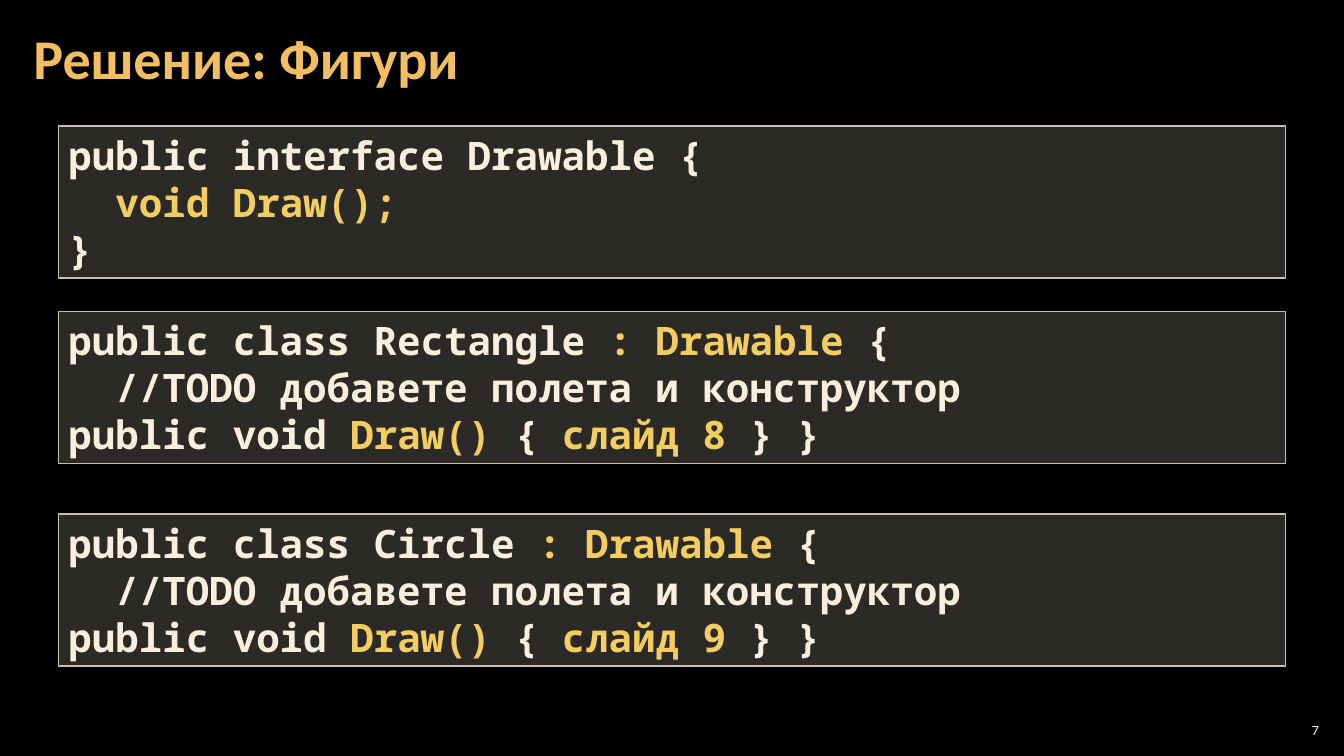
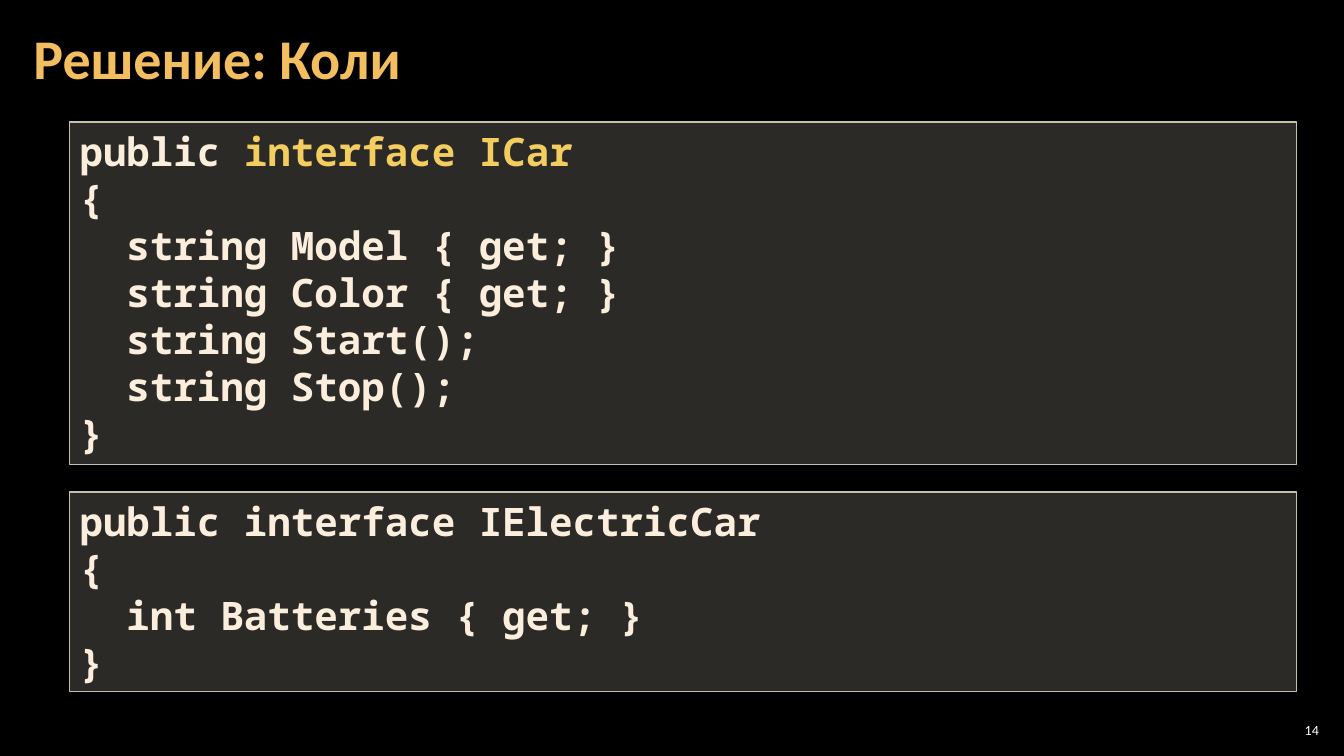
from lxml import etree
from pptx import Presentation
from pptx import util as u
from pptx.dml import color
from pptx.enum import shapes, text
from pptx.oxml import ns

# Shared style
BLACK, WHITE = "000000", "FFFFFF"
ORANGE, CREAM, YELLOW = "F3BE60", "FBEEDC", "F3CD60"
PANEL, BORDER = "D9D5C7", "C7BFAC"
SANS, MONO = "Calibri", "Noto Sans Mono"

# Code panels, in percent of the slide
PANEL_WIDTH, LINE_HEIGHT, PANEL_PADDING = 91.3, 6.3, 1.2
MARK = "|"  # switches the highlight colour on and off


def rgb(value):
    return color.RGBColor.from_string(value)


def write(tf, content, *, size, font, fill, bold=False, accent=None,
          align=text.PP_ALIGN.LEFT, spacing=None, anchor=text.MSO_ANCHOR.MIDDLE):
    """Fill a frame, one paragraph a line, with marked parts in the accent."""
    tf.word_wrap = True
    tf.vertical_anchor = anchor
    for i, line in enumerate(content.split("\n")):
        p = tf.add_paragraph() if i else tf.paragraphs[0]
        p.alignment = align
        p.line_spacing = spacing
        for j, part in enumerate(line.split(MARK)):
            if not part:
                continue
            r = p.add_run()
            r.text = part
            r.font.size, r.font.name, r.font.bold = u.Pt(size), font, bold
            r.font.color.rgb = rgb(accent if j % 2 else fill)


class Deck:
    def __init__(self):
        self.prs = Presentation()
        self.prs.slide_width = u.Inches(13.33)
        self.prs.slide_height = u.Inches(7.5)
        background = self.prs.slide_master.background.fill
        background.solid()
        background.fore_color.rgb = rgb(BLACK)
        self.s = None

    def box(self, x, y, w, h):
        """Turn percentages of the slide into lengths."""
        width, height = self.prs.slide_width, self.prs.slide_height
        return [int(share * side / 100) for share, side in
                ((x, width), (y, height), (w, width), (h, height))]

    def slide(self, title, number):
        self.s = self.prs.slides.add_slide(self.prs.slide_layouts[6])
        self.label(number, 94.9, 95.2, 3.53, 2.8, inset=0.04, size=10,
                   fill=WHITE, align=text.PP_ALIGN.RIGHT)
        self.label(title, 1.58, 0, 78.54, 16.13, inset=0.12, size=40,
                   fill=ORANGE, bold=True, spacing=0.9)

    def label(self, content, x, y, w, h, inset, **style):
        tf = self.s.shapes.add_textbox(*self.box(x, y, w, h)).text_frame
        tf.margin_left = tf.margin_right = u.Inches(inset)
        tf.margin_top = tf.margin_bottom = u.Inches(0.04)
        write(tf, content, font=SANS, **style)

    def code(self, content, x, y):
        """A translucent panel as tall as its lines of code."""
        height = LINE_HEIGHT * len(content.split("\n")) + PANEL_PADDING
        sp = self.s.shapes.add_shape(shapes.MSO_SHAPE.RECTANGLE,
                                     *self.box(x, y, PANEL_WIDTH, height))
        sp.shadow.inherit = False
        sp.fill.solid()
        sp.fill.fore_color.rgb = rgb(PANEL)
        tint = sp.fill._xPr.find(".//" + ns.qn("a:srgbClr"))
        etree.SubElement(tint, ns.qn("a:alpha"), val="20000")
        sp.line.color.rgb = rgb(BORDER)
        sp.line.width = u.Pt(1)
        tf = sp.text_frame
        write(tf, content, size=28, font=MONO, fill=CREAM, accent=YELLOW,
              bold=True, anchor=text.MSO_ANCHOR.TOP)
        tf.auto_size = text.MSO_AUTO_SIZE.SHAPE_TO_FIT_TEXT


def drawable_class(name, number):
    return (f"public class {name} |: Drawable |{{\n"
            "  //TODO добавете полета и конструктор\n"
            f"public void |Draw() |{{ |слайд {number} |}} }}")


DRAWABLE = """public interface Drawable {
  |void Draw();|
}"""

CAR = """public |interface ICar|
{
  string Model { get; }
  string Color { get; }
  string Start();
  string Stop();
}"""

ELECTRIC_CAR = """public interface IElectricCar
{
  int Batteries { get; }
}"""


def main():
    deck = Deck()

    # Shapes
    deck.slide("Решение: Фигури", "7")
    deck.code(DRAWABLE, 4.35, 16.67)
    deck.code(drawable_class("Rectangle", 8), 4.35, 41.2)
    deck.code(drawable_class("Circle", 9), 4.35, 68)

    # Cars
    deck.slide("Решение: Коли", "14")
    deck.code(CAR, 5.18, 16.13)
    deck.code(ELECTRIC_CAR, 5.18, 65.07)

    deck.prs.save("out.pptx")


if __name__ == "__main__":
    main()
